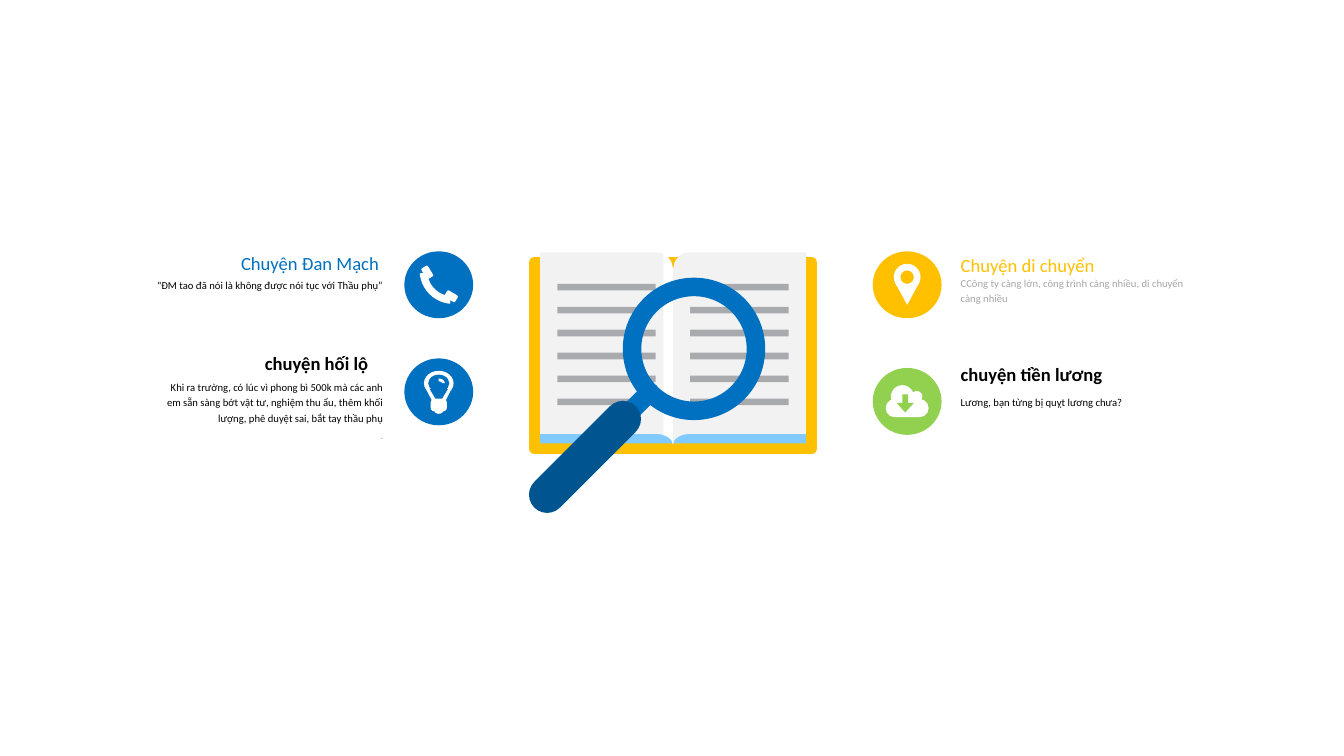
"""Build a slide of four workplace stories around an open book and a magnifier."""
from dataclasses import dataclass
from math import sqrt

from pptx import Presentation
from pptx.dml.color import RGBColor
from pptx.enum.shapes import MSO_SHAPE
from pptx.enum.text import MSO_AUTO_SIZE, PP_ALIGN
from pptx.util import Inches, Pt

RECTANGLE, ROUNDED = MSO_SHAPE.RECTANGLE, MSO_SHAPE.ROUNDED_RECTANGLE
OVAL, DONUT, BLOCK_ARC = MSO_SHAPE.OVAL, MSO_SHAPE.DONUT, MSO_SHAPE.BLOCK_ARC
TRIANGLE, TRAPEZOID = MSO_SHAPE.ISOSCELES_TRIANGLE, MSO_SHAPE.TRAPEZOID
DOWN_ARROW = MSO_SHAPE.DOWN_ARROW
LEFT, RIGHT = PP_ALIGN.LEFT, PP_ALIGN.RIGHT
FIT_TEXT = MSO_AUTO_SIZE.SHAPE_TO_FIT_TEXT

BLUE = RGBColor(0x00, 0x70, 0xC0)
DARK_BLUE = RGBColor(0x00, 0x54, 0x90)
LIGHT_BLUE = RGBColor(0x80, 0xCA, 0xFF)
YELLOW = RGBColor(0xFF, 0xC0, 0x00)
GREEN = RGBColor(0x92, 0xD1, 0x4F)
PAPER = RGBColor(0xF2, 0xF2, 0xF2)
LINE_GRAY = RGBColor(0xA8, 0xAA, 0xAD)
TEXT_GRAY = RGBColor(0xA6, 0xA6, 0xA6)
BLACK = RGBColor(0x00, 0x00, 0x00)
WHITE = RGBColor(0xFF, 0xFF, 0xFF)

FONT = "Calibri"
TEXT_WIDTH = 2.37
LEFT_TEXT, RIGHT_TEXT = 1.64, 10.05
LEFT_BADGE, RIGHT_BADGE = 4.59, 9.49
BADGE_WIDTH, BADGE_HEIGHT = 0.72, 0.7

SPINE_X = 7.04
PAGE_WIDTH, FOLD_WIDTH = 1.39, 0.1
SPINE_TOP, SPINE_BOTTOM = 2.82, 4.65
CURL_WIDTH, CURL_TOP, CURL_BOTTOM = 0.18, 0.18, 0.11
CURL_STEPS = 12

LINE_ROWS, LINE_TOP, LINE_PITCH = 6, 2.97, 0.24
LINE_WIDTH, LINE_HEIGHT = 1.03, 0.07


@dataclass
class Label:
    left: float
    top: float
    height: float
    lines: list[str]
    size: int
    colors: list[RGBColor]
    align: PP_ALIGN = LEFT
    bold: bool = False
    spacing: float = 1.2
    width: float = TEXT_WIDTH


@dataclass
class Part:
    """A preset shape placed by its centre, which is relative to its badge in an icon."""
    kind: MSO_SHAPE
    x: float
    y: float
    width: float
    height: float
    adjustments: tuple[float, ...] = ()
    rotation: float = 0
    cutout: bool = False


@dataclass
class Topic:
    heading: Label
    body: Label
    badge_x: float
    badge_y: float
    color: RGBColor
    icon: list[Part]


def arc_adjustments(start: float, end: float, thickness: float) -> tuple[float, ...]:
    """Turn degrees, clockwise from the right, into block arc adjustments."""
    return start * 0.6, end * 0.6, thickness


PHONE = [
    Part(BLOCK_ARC, 0.15, -0.15, BADGE_HEIGHT, BADGE_HEIGHT, arc_adjustments(95, 175, 0.11)),
    Part(ROUNDED, -0.12, -0.13, 0.08, 0.13, (0.2,), -31),
    Part(ROUNDED, 0.13, 0.12, 0.13, 0.08, (0.2,), 31)]
BULB = [
    Part(OVAL, 0, -0.09, 0.31, 0.26),
    Part(TRAPEZOID, 0, 0.03, 0.26, 0.11, (0.5,), 180),
    Part(ROUNDED, 0, 0.14, 0.17, 0.13, (0.3,)),
    Part(OVAL, 0, 0.2, 0.09, 0.06),
    Part(OVAL, 0, -0.09, 0.22, 0.18, cutout=True),
    Part(TRAPEZOID, 0, 0.02, 0.19, 0.1, (0.6,), 180, True),
    Part(BLOCK_ARC, 0, -0.09, 0.13, 0.1, arc_adjustments(270, 0, 0.3))]
PIN = [
    Part(OVAL, 0, -0.08, 0.28, 0.28),
    Part(TRIANGLE, 0, 0.09, 0.26, 0.24, rotation=180),
    Part(OVAL, 0, -0.08, 0.14, 0.14, cutout=True)]
CLOUD = [
    Part(ROUNDED, 0, 0.07, 0.45, 0.19, (0.5,)),
    Part(OVAL, -0.05, -0.05, 0.24, 0.24),
    Part(OVAL, 0.1, -0.05, 0.12, 0.12),
    Part(DOWN_ARROW, -0.02, 0.02, 0.18, 0.19, (0.33, 0.55), cutout=True)]

TOPICS = [
    Topic(Label(RIGHT_TEXT, 2.61, 0.26, ["Chuyện di chuyển"], 14, [YELLOW]),
          Label(RIGHT_TEXT, 2.87, 0.31,
                ["CCông ty càng lớn, công trình càng nhiều, di chuyển càng nhiều"], 8, [TEXT_GRAY]),
          RIGHT_BADGE, 2.98, YELLOW, PIN),
    Topic(Label(RIGHT_TEXT, 3.8, 0.24, ["chuyện tiền lương"], 14, [BLACK], LEFT, True, 1.0),
          Label(RIGHT_TEXT, 4.12, 0.15, ["Lương, bạn từng bị quỵt lương chưa?"], 8, [BLACK]),
          RIGHT_BADGE, 4.2, GREEN, CLOUD),
    Topic(Label(LEFT_TEXT, 2.59, 0.26, ["Chuyện Đan Mạch "], 14, [BLUE], RIGHT),
          Label(LEFT_TEXT, 2.89, 0.15,
                ["\"ĐM tao đã nói là không được nói tục với Thầu phụ”"], 8, [BLACK], RIGHT),
          LEFT_BADGE, 2.98, BLUE, PHONE),
    Topic(Label(2.77, 3.68, 0.24, ["chuyện hối lộ"], 14, [BLACK], LEFT, True, 1.0, 1.25),
          Label(LEFT_TEXT, 3.96, 0.66,
                ["Khi ra trường, có lúc vì phong bì 500k mà các anh em sẵn sàng bớt vật tư, "
                 "nghiệm thu ẩu, thêm khối lượng, phê duyệt sai, bắt tay thầu phụ", "."],
                8, [BLACK, TEXT_GRAY], RIGHT),
          LEFT_BADGE, 4.1, BLUE, BULB)]


def paint(shape, color: RGBColor) -> None:
    shape.shadow.inherit = False
    shape.fill.solid()
    shape.fill.fore_color.rgb = color
    shape.line.fill.background()


def add_part(slide, part: Part, color: RGBColor, x: float = 0, y: float = 0) -> None:
    left, top = x + part.x - part.width / 2, y + part.y - part.height / 2
    shape = slide.shapes.add_shape(
        part.kind, Inches(left), Inches(top), Inches(part.width), Inches(part.height))
    for index, adjustment in enumerate(part.adjustments):
        shape.adjustments[index] = adjustment
    shape.rotation = part.rotation
    paint(shape, color)


def add_leaf(slide, side: int, width: float, color: RGBColor) -> None:
    """Draw paper that curls up from the spine, to the left (-1) or right (1)."""
    curl_end = min(width, CURL_WIDTH)
    distances = [curl_end * step / CURL_STEPS for step in range(CURL_STEPS + 1)] + [width]
    top_edge, bottom_edge = [], []
    for distance in distances:
        curl = sqrt(1 - (1 - min(distance / CURL_WIDTH, 1)) ** 2)
        x = Inches(SPINE_X + side * distance)
        top_edge.append((x, Inches(SPINE_TOP - CURL_TOP * curl)))
        bottom_edge.append((x, Inches(SPINE_BOTTOM - CURL_BOTTOM * curl)))
    outline = top_edge + bottom_edge[::-1]
    builder = slide.shapes.build_freeform(*outline[0], scale=1.0)
    builder.add_line_segments(outline[1:], close=True)
    paint(builder.convert_to_shape(), color)


def add_label(slide, label: Label) -> None:
    frame = slide.shapes.add_textbox(
        Inches(label.left), Inches(label.top), Inches(label.width), Inches(label.height)).text_frame
    frame.word_wrap = True
    frame.auto_size = FIT_TEXT
    frame.margin_left = frame.margin_right = frame.margin_top = frame.margin_bottom = 0
    for index, (line, color) in enumerate(zip(label.lines, label.colors)):
        paragraph = frame.add_paragraph() if index else frame.paragraphs[0]
        paragraph.text = line
        paragraph.alignment = label.align
        paragraph.line_spacing = label.spacing
        if index:
            paragraph.space_before = Pt(label.size * 0.2)
        paragraph.font.name = FONT
        paragraph.font.size = Pt(label.size)
        paragraph.font.bold = label.bold
        paragraph.font.color.rgb = color


def add_book(slide) -> None:
    add_part(slide, Part(ROUNDED, SPINE_X, 3.72, 3.01, 2.06, (0.025,)), YELLOW)
    add_part(slide, Part(RECTANGLE, SPINE_X, 4.58, 2 * PAGE_WIDTH, 0.12), LIGHT_BLUE)
    for side in (1, -1):
        add_leaf(slide, side, PAGE_WIDTH, PAPER)
    add_leaf(slide, -1, FOLD_WIDTH, WHITE)
    for side in (1, -1):
        for row in range(LINE_ROWS):
            y = LINE_TOP + LINE_HEIGHT / 2 + LINE_PITCH * row
            line = Part(RECTANGLE, SPINE_X + side * PAGE_WIDTH / 2, y, LINE_WIDTH, LINE_HEIGHT)
            add_part(slide, line, LINE_GRAY)


def add_magnifier(slide) -> None:
    add_part(slide, Part(ROUNDED, 6.26, 4.64, 1.72, 0.2, (0.5,), -45), BLUE)
    add_part(slide, Part(ROUNDED, 6.12, 4.78, 1.5, 0.38, (0.5,), -45), DARK_BLUE)
    add_part(slide, Part(DONUT, 7.26, 3.65, 1.49, 1.49, (0.13,)), BLUE)


def add_topic(slide, topic: Topic) -> None:
    add_label(slide, topic.heading)
    add_label(slide, topic.body)
    badge = Part(OVAL, topic.badge_x, topic.badge_y, BADGE_WIDTH, BADGE_HEIGHT)
    add_part(slide, badge, topic.color)
    for part in topic.icon:
        color = topic.color if part.cutout else WHITE
        add_part(slide, part, color, topic.badge_x, topic.badge_y)


def main() -> None:
    presentation = Presentation()
    presentation.slide_width, presentation.slide_height = Inches(14.06), Inches(7.91)
    slide = presentation.slides.add_slide(presentation.slide_layouts[6])
    add_book(slide)
    add_magnifier(slide)
    for topic in TOPICS:
        add_topic(slide, topic)
    presentation.save("out.pptx")


if __name__ == "__main__":
    main()
